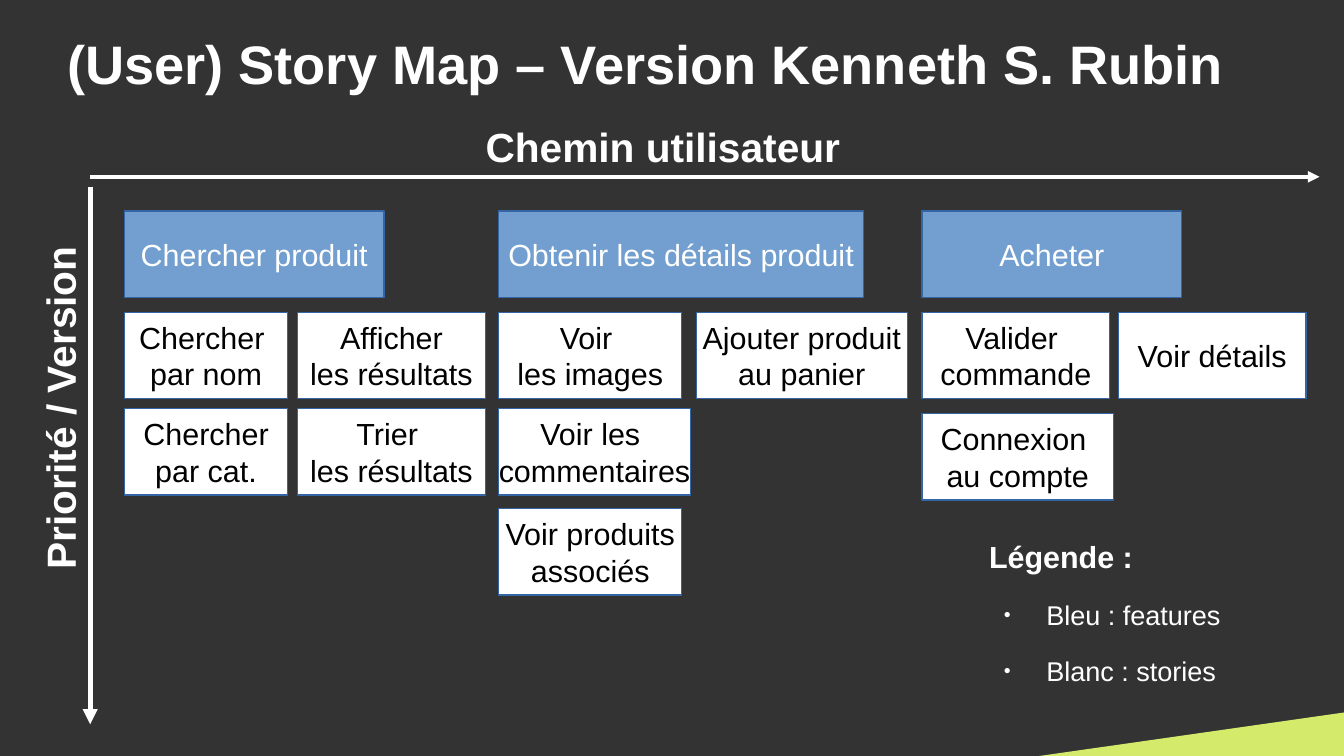
from dataclasses import dataclass

import pptx
import pptx.dml.color
import pptx.enum.shapes
import pptx.enum.text
import pptx.oxml
import pptx.oxml.ns
import pptx.util
from pptx.util import Inches, Pt

WHITE, BLACK, BLUE = "FFFFFF", "000000", "729FCF"
EDGE, GREEN, DARK = "3465A4", "D4EA6B", "333333"
ALIGN = pptx.enum.text.PP_ALIGN
ANCHOR = pptx.enum.text.MSO_ANCHOR
SHAPE = pptx.enum.shapes.MSO_SHAPE
CARD_H = 0.71
TOP, ROW1, ROW2, ROW3 = 1.73, 2.56, 3.35, 4.17
COL1, COL2, COL3 = 1.02, 4.09, 7.56


@dataclass
class Card:
    left: float
    top: float
    width: float
    text: str


@dataclass
class Axis:
    start: tuple[float, float]
    end: tuple[float, float]
    weight: float


FEATURES = [
    Card(COL1, TOP, 2.13, "Chercher produit"),
    Card(COL2, TOP, 2.99, "Obtenir les détails produit"),
    Card(COL3, TOP, 2.13, "Acheter"),
]
STORIES = [
    Card(COL1, ROW1, 1.34, "Chercher \npar nom"),
    Card(COL1, ROW2, 1.34, "Chercher\npar cat."),
    Card(2.44, ROW1, 1.54, "Afficher\nles résultats"),
    Card(2.44, ROW2, 1.54, "Trier \nles résultats"),
    Card(COL2, ROW1, 1.5, "Voir \nles images"),
    Card(COL2, ROW2, 1.57, "Voir les \ncommentaires"),
    Card(COL2, ROW3, 1.5, "Voir produits\nassociés"),
    Card(5.71, ROW1, 1.73, "Ajouter produit\nau panier"),
    Card(COL3, ROW1, 1.54, "Valider \ncommande"),
    Card(9.17, ROW1, 1.54, "Voir détails"),
    Card(COL3, 3.39, 1.57, "Connexion \nau compte"),
]
AXES = [
    Axis((0.74, 1.45), (10.82, 1.45), 2.3),
    Axis((0.74, 1.53), (0.74, 5.94), 3),
]


def rgb(code: str) -> pptx.dml.color.RGBColor:
    return pptx.dml.color.RGBColor.from_string(code)


def style(para, size: float, color: str, bold: bool = False, align=ALIGN.LEFT) -> None:
    para.alignment = align
    font = para.font
    font.name, font.size, font.bold = "Arial", Pt(size), bold
    font.color.rgb = rgb(color)


def add_xml(parent, tag: str, **attrs: str):
    item = pptx.oxml.ns.qn(tag)
    child = parent.makeelement(item, attrs)
    parent.append(child)
    return child


def place(shape, left: float, top: float, width: float, height: float) -> None:
    """Move a placeholder and clear its margins and fitting."""
    shape.left, shape.top = Inches(left), Inches(top)
    shape.width, shape.height = Inches(width), Inches(height)
    frame = shape.text_frame
    frame.margin_left = frame.margin_right = 0
    frame.margin_top = frame.margin_bottom = 0
    frame.vertical_anchor = ANCHOR.TOP
    frame.word_wrap = True
    frame.auto_size = pptx.enum.text.MSO_AUTO_SIZE.NONE


def add_card(slide, card: Card, fill: str, color: str) -> None:
    box = slide.shapes.add_shape(
        SHAPE.RECTANGLE, Inches(card.left), Inches(card.top),
        Inches(card.width), Inches(CARD_H))
    box.shadow.inherit = False
    box.fill.solid()
    box.fill.fore_color.rgb = rgb(fill)
    box.line.color.rgb = rgb(EDGE)
    box.line.width = Pt(0)
    frame = box.text_frame
    frame.word_wrap = False
    frame.vertical_anchor = ANCHOR.MIDDLE
    frame.text = card.text
    for para in frame.paragraphs:
        style(para, 18, color, align=ALIGN.CENTER)


def add_label(slide, left: float, top: float, text: str, turn: float = 0) -> None:
    box = slide.shapes.add_textbox(Inches(left), Inches(top), Inches(4.25), Inches(0.47))
    box.rotation = turn
    box.text_frame.word_wrap = True
    box.text_frame.text = text
    style(box.text_frame.paragraphs[0], 24, WHITE, True, ALIGN.CENTER)


def add_axis(slide, axis: Axis) -> None:
    line = slide.shapes.add_connector(
        pptx.enum.shapes.MSO_CONNECTOR.STRAIGHT,
        *map(Inches, axis.start), *map(Inches, axis.end))
    line.line.color.rgb = rgb(WHITE)
    line.line.width = Pt(axis.weight)
    add_xml(line.line._get_or_add_ln(), "a:tailEnd", type="triangle")
    add_xml(line._element.spPr, "a:effectLst")


def add_legend(body) -> None:
    place(body, 8.11, 4.41, 2.76, 1.5)
    body.text_frame.text = "Légende :\nBleu : features\nBlanc : stories"
    head, *items = body.text_frame.paragraphs
    props = head._p.get_or_add_pPr()
    props.set("marL", "0")
    props.set("indent", "0")
    add_xml(props, "a:buNone")
    head.space_before = Pt(0)
    style(head, 18, WHITE, True)
    for item in items:
        props = item._p.get_or_add_pPr()
        props.set("marL", str(Inches(0.47)))
        props.set("indent", str(Inches(-0.35)))
        add_xml(add_xml(props, "a:buClr"), "a:srgbClr", val=WHITE)
        add_xml(props, "a:buSzPct", val="45000")
        add_xml(props, "a:buChar", char="●")
        item.space_before = Pt(14.1)
        style(item, 16, WHITE)


def add_corner(slide) -> None:
    corner = slide.shapes.add_shape(
        SHAPE.RIGHT_TRIANGLE, Inches(9.47), Inches(4.6), Inches(0.41), Inches(2.87))
    corner.rotation = 270
    corner.shadow.inherit = False
    corner.fill.solid()
    corner.fill.fore_color.rgb = rgb(GREEN)
    corner.line.fill.background()


def main() -> None:
    deck = pptx.Presentation()
    deck.slide_width, deck.slide_height = Inches(11.02), Inches(6.2)
    slide = deck.slides.add_slide(deck.slide_layouts[1])
    slide.background.fill.solid()
    slide.background.fill.fore_color.rgb = rgb(DARK)

    title = slide.shapes.title
    place(title, 0.55, 0.25, 9.92, 0.56)
    title.text_frame.text = "(User) Story Map – Version Kenneth S. Rubin"
    style(title.text_frame.paragraphs[0], 32, WHITE, True)

    add_corner(slide)
    add_label(slide, 3.31, 0.95, "Chemin utilisateur")
    add_label(slide, -1.65, 3.11, "Priorité / Version", 270)
    for card in FEATURES:
        add_card(slide, card, BLUE, WHITE)
    for card in STORIES:
        add_card(slide, card, WHITE, BLACK)
    add_legend(slide.placeholders[1])
    for axis in AXES:
        add_axis(slide, axis)
    deck.save("out.pptx")


if __name__ == "__main__":
    main()
